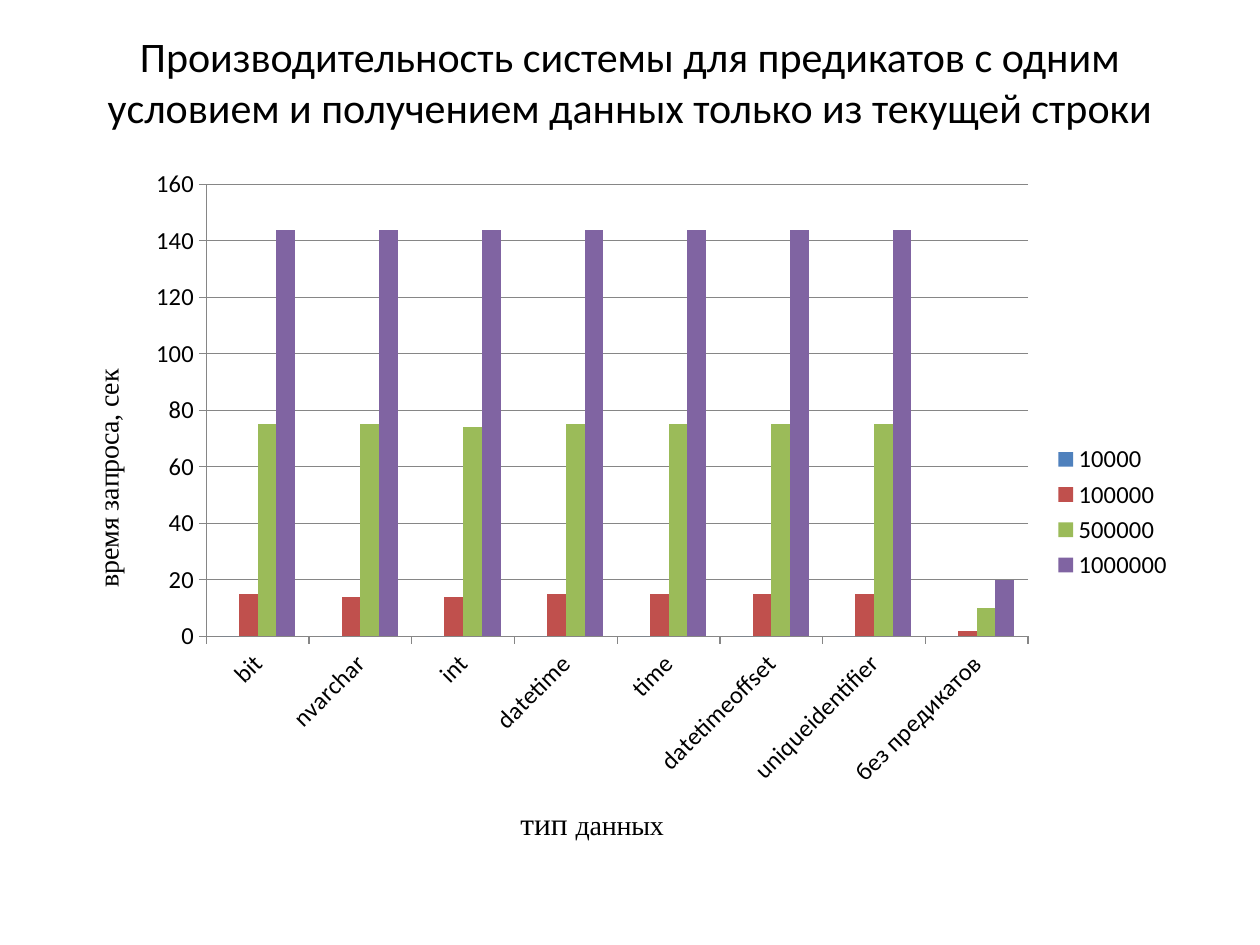
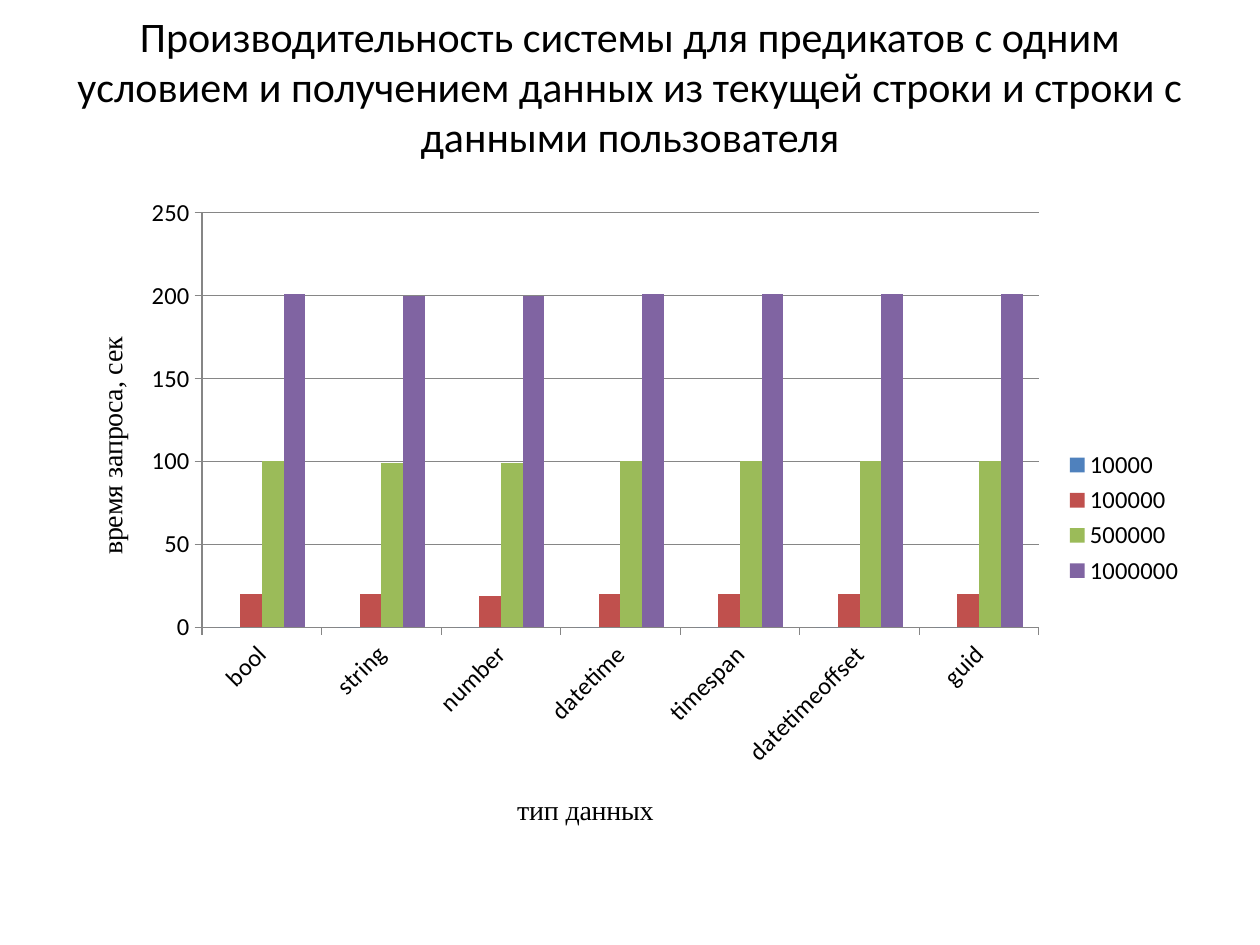
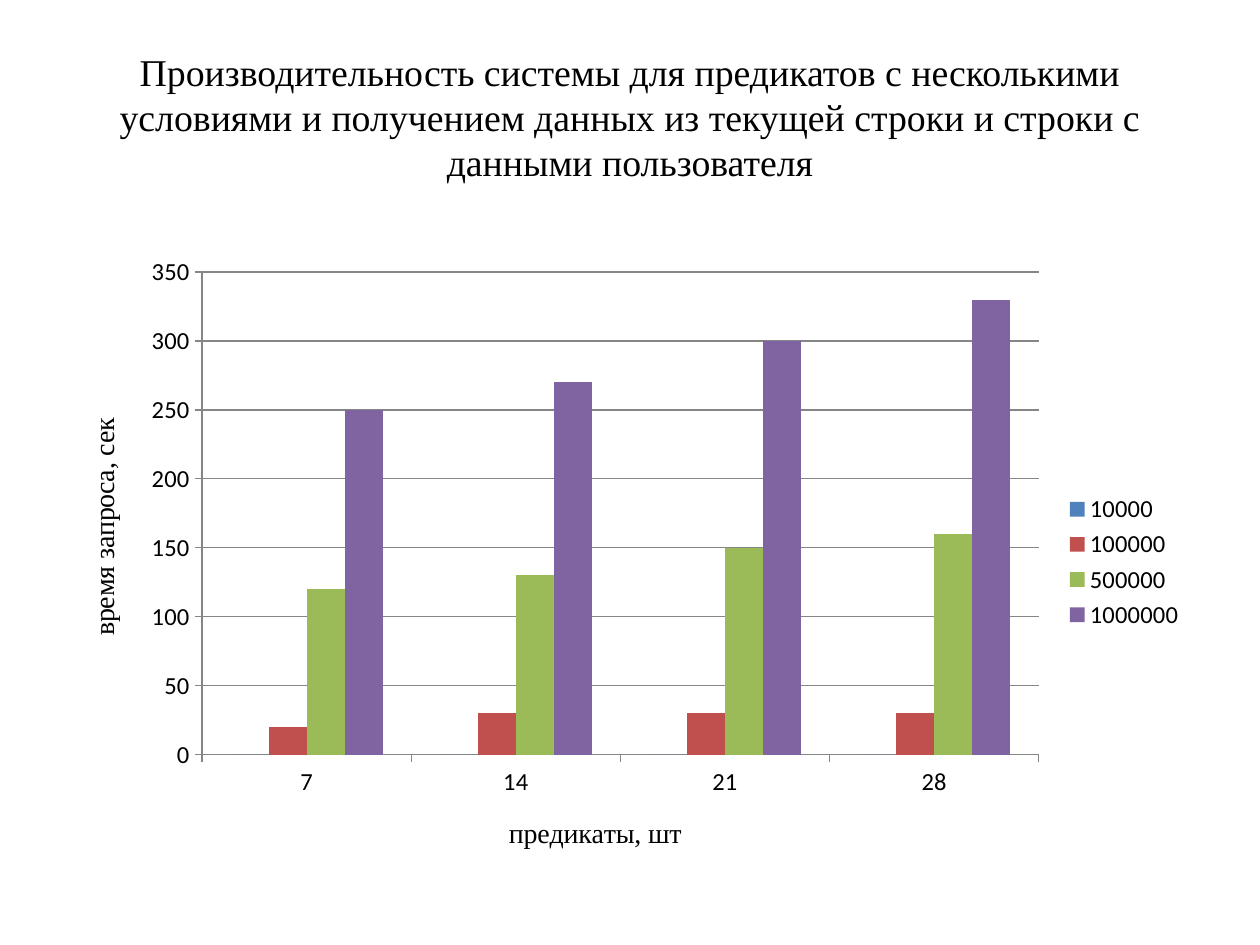
import pptx
import pptx.util
import pptx.chart.data
import pptx.dml.color
import pptx.enum.chart
import pptx.enum.text
import pptx.oxml
import pptx.oxml.ns

Inches = pptx.util.Inches
Pt = pptx.util.Pt
qn = pptx.oxml.ns.qn

SANS = "Calibri"
SERIF = "Times New Roman"
BLACK = "000000"
GREY = "868686"
ROWS = {
    "10000": "4F81BD",
    "100000": "C0504D",
    "500000": "9BBB59",
    "1000000": "8064A2",
}
TIME = [("время запроса, сек", 16)]
SLANT = -45


def paint(target, tone):
    target.rgb = pptx.dml.color.RGBColor.from_string(tone)


def style(font, face, size):
    font.name = face
    font.size = Pt(size)
    font.bold = False
    paint(font.color, BLACK)


def write(para, parts, face):
    for text, size in parts:
        run = para.add_run()
        run.text = text
        style(run.font, face, size)


def place(shape, box):
    shape.left, shape.top, shape.width, shape.height = map(Inches, box)


def add_title(slide, box, text, face, size):
    title = slide.shapes.title
    place(title, box)
    frame = title.text_frame
    frame.word_wrap = True
    frame.auto_size = pptx.enum.text.MSO_AUTO_SIZE.NONE
    frame.vertical_anchor = pptx.enum.text.MSO_ANCHOR.MIDDLE
    para = frame.paragraphs[0]
    para.alignment = pptx.enum.text.PP_ALIGN.CENTER
    write(para, [(text, size)], face)


def turn(body, angle):
    body.set("rot", str(angle * 60000))
    body.set("vert", "horz")


def pin(node, index, share):
    for old in node.findall(qn("c:layout")):
        node.remove(old)
    inner = '<c:layoutTarget val="inner"/>' if len(share) == 4 else ""
    modes = "".join(f'<c:{key}Mode val="edge"/>' for key in "xy")
    spots = "".join(
        f'<c:{key} val="{part}"/>' for key, part in zip("xywh", share)
    )
    names = pptx.oxml.ns.nsdecls("c")
    node.insert(index, pptx.oxml.parse_xml(
        f"<c:layout {names}><c:manualLayout>{inner}{modes}{spots}"
        "</c:manualLayout></c:layout>"
    ))


def draw_line(line):
    line.width = Pt(0.75)
    paint(line.color, GREY)


def set_axis(axis, parts, angle, spot):
    style(axis.tick_labels.font, SANS, 14)
    axis.major_tick_mark = pptx.enum.chart.XL_TICK_MARK.OUTSIDE
    axis.minor_tick_mark = pptx.enum.chart.XL_TICK_MARK.NONE
    draw_line(axis.format.line)
    title = axis.axis_title
    frame = title.text_frame
    write(frame.paragraphs[0], parts, SERIF)
    turn(frame._txBody.bodyPr, angle)
    if spot:
        pin(title._element, 1, spot)


def add_bars(slide, box, label, cats, rows, slant, top, step,
             area=None, low=None, side=None):
    data = pptx.chart.data.CategoryChartData()
    data.categories = cats
    for name, vals in zip(ROWS, rows):
        data.add_series(name, vals)
    chart = slide.shapes.add_chart(
        pptx.enum.chart.XL_CHART_TYPE.COLUMN_CLUSTERED, *map(Inches, box), data
    ).chart
    style(chart.font, SANS, 10)
    chart.has_title = False
    chart.has_legend = True
    chart.legend.position = pptx.enum.chart.XL_LEGEND_POSITION.RIGHT
    chart.legend.include_in_layout = False
    style(chart.legend.font, SANS, 14)

    plot = chart.plots[0]
    plot.vary_by_categories = False
    plot.gap_width = 150
    plot.overlap = 0
    for bar, tone in zip(plot.series, ROWS.values()):
        bar.format.fill.solid()
        paint(bar.format.fill.fore_color, tone)
    if area:
        pin(plot._element.getparent(), 0, area)

    set_axis(chart.category_axis, label, 0, low)
    if slant:
        turn(chart.category_axis._element.txPr.bodyPr, slant)
    scale = chart.value_axis
    set_axis(scale, TIME, -90, side)
    scale.minimum_scale = 0
    scale.maximum_scale = top
    scale.major_unit = step
    scale.has_major_gridlines = True
    draw_line(scale.major_gridlines.format.line)


def add_page(deck, title, bars, **spots):
    slide = deck.slides.add_slide(deck.slide_layouts[5])
    add_title(slide, *title)
    add_bars(slide, *bars, **spots)


def main():
    deck = pptx.Presentation()
    deck.slide_width = Inches(10)
    deck.slide_height = Inches(7.5)
    add_page(
        deck,
        ((0.5, 0.3, 9, 0.69),
         "Производительность системы для предикатов с одним условием "
         "и получением данных только из текущей строки", SANS, 24),
        ((0.5, 1.23, 8.91, 5.67), [("тип ", 18), ("данных", 16)],
         ["bit", "nvarchar", "int", "datetime", "time", "datetimeoffset",
          "uniqueidentifier", "без предикатов"],
         [[0] * 8,
          [15, 14, 14, 15, 15, 15, 15, 2],
          [75, 75, 74, 75, 75, 75, 75, 10],
          [144] * 7 + [20]], SLANT, 160, 20),
    )
    add_page(
        deck,
        ((0.5, 0.21, 9, 0.94),
         "Производительность системы для предикатов с одним условием "
         "и получением данных из текущей строки и строки с данными "
         "пользователя", SANS, 24),
        ((0.5, 1.47, 9, 5.28), [("тип данных", 16)],
         ["bool", "string", "number", "datetime", "timespan",
          "datetimeoffset", "guid"],
         [[0] * 7,
          [20, 20, 19, 20, 20, 20, 20],
          [100, 99, 99, 100, 100, 100, 100],
          [201, 200, 200, 201, 201, 201, 201]], SLANT, 250, 50),
        area=(0.1226, 0.0415, 0.738, 0.623),
        low=(0.396, 0.905),
        side=(0.023, 0.221),
    )
    add_page(
        deck,
        ((0.5, 0.3, 9, 1.25),
         "Производительность системы для предикатов с несколькими "
         "условиями и получением данных из текущей строки и строки с "
         "данными пользователя", SERIF, 21.6),
        ((0.5, 1.94, 9, 5.04), [("предикаты, шт", 16)],
         ["7", "14", "21", "28"],
         [[0] * 4,
          [20, 30, 30, 30],
          [120, 130, 150, 160],
          [250, 270, 300, 330]], 0, 350, 50),
        area=(0.1226, 0.0435, 0.738, 0.76),
    )
    deck.save("out.pptx")


if __name__ == "__main__":
    main()
